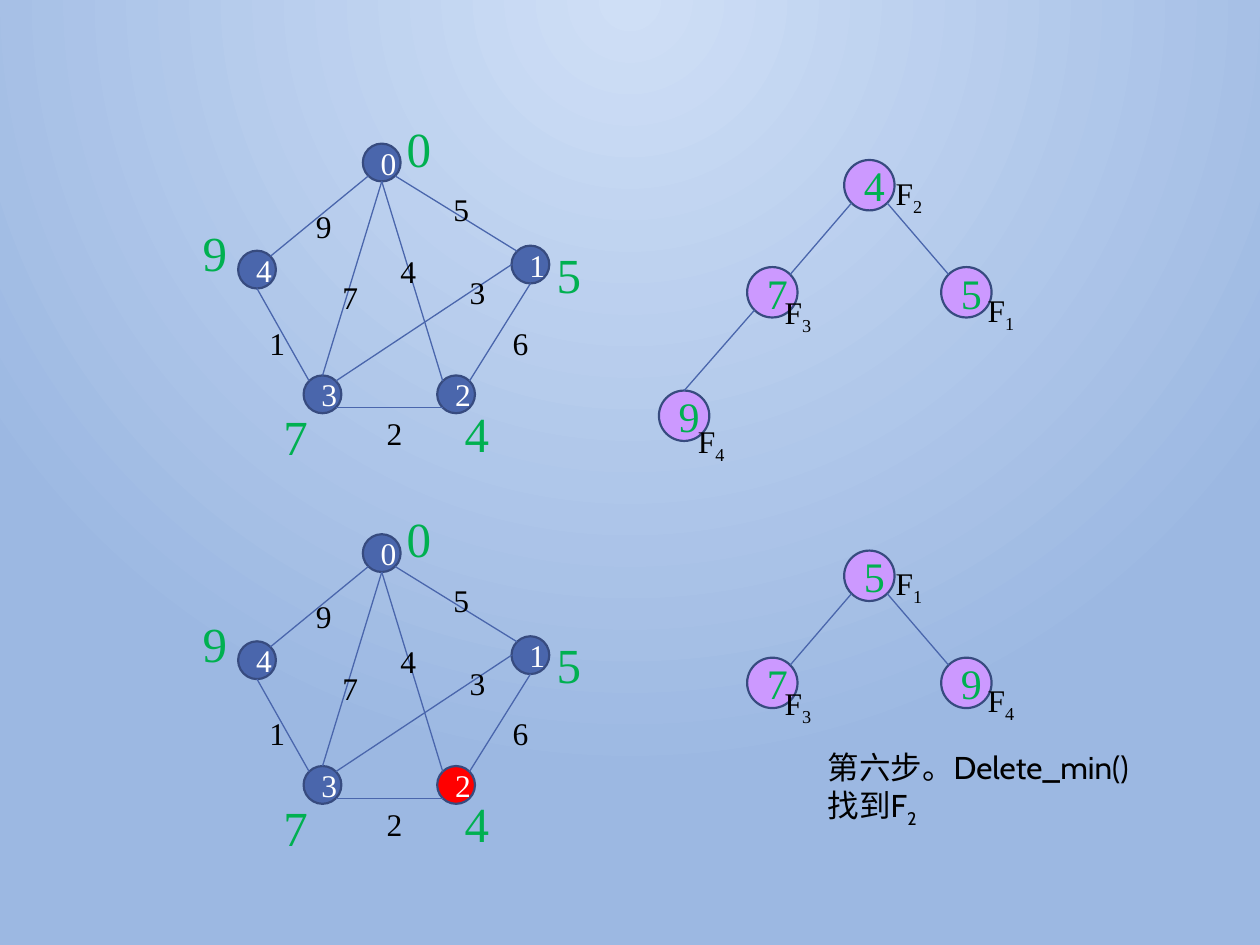
"""Draw two steps of a minimum spanning tree search, each with its graph and heap."""
import math
from dataclasses import dataclass

import pptx
import pptx.dml.color
import pptx.enum.shapes
import pptx.enum.text
import pptx.oxml
import pptx.oxml.ns
import pptx.shapes.autoshape
import pptx.slide
import pptx.util
from pptx.util import Inches

COLORS = {
    "glow": "CFDFF6", "sky": "9CB8E2", "blue": "4A66AC", "outline": "374B7F", "red": "FF0000",
    "violet": "CC99FF", "green": "00B050", "white": "FFFFFF", "black": "000000",
}
SERIF = "Times New Roman"
COMPASS = {name: math.radians(45 * step)
           for step, name in enumerate(["E", "SE", "S", "SW", "W", "NW", "N", "NE"])}
STEP_GAP = 3.1


@dataclass(frozen=True)
class Span:
    text: str
    subscript: bool = False


@dataclass(frozen=True)
class Style:
    size: int
    color: str
    font: str = SERIF


@dataclass(frozen=True)
class Node:
    text: str
    left: float
    top: float
    diameter: float
    fill: str
    style: Style

    def site(self, direction: str) -> tuple[float, float]:
        radius = self.diameter / 2
        angle = COMPASS[direction]
        return (self.left + radius * (1 + math.cos(angle)),
                self.top + radius * (1 + math.sin(angle)))


@dataclass(frozen=True)
class Edge:
    start: int
    start_side: str
    end: int
    end_side: str


@dataclass(frozen=True)
class Label:
    text: str
    left: float
    top: float


@dataclass(frozen=True)
class HeapSlot:
    left: float
    top: float
    label_left: float
    label_top: float
    label_width: float = 0.43


NODE_TEXT = Style(18, "white")
PLAIN_TEXT = Style(18, "black")
KEY_TEXT = Style(28, "green")
HEAP_TEXT = Style(24, "green")
NOTE_TEXT = Style(18, "black", "Cabin")

VERTICES = [(2.88, 1.14), (4.06, 1.95), (3.47, 2.98), (2.41, 2.98), (1.89, 1.99)]
GRAPH_EDGES = [
    Edge(0, "SW", 4, "NE"), Edge(3, "NW", 4, "S"), Edge(1, "NW", 0, "SE"), Edge(2, "SW", 3, "SE"),
    Edge(1, "S", 2, "NE"), Edge(2, "NW", 0, "S"), Edge(3, "N", 0, "S"), Edge(1, "W", 3, "NE"),
]
WEIGHTS = [
    Label("9", 2.41, 1.59), Label("5", 3.5, 1.46), Label("4", 3.08, 1.95), Label("7", 2.62, 2.16),
    Label("1", 2.04, 2.52), Label("2", 2.97, 3.24), Label("3", 3.63, 2.12), Label("6", 3.97, 2.52),
]
KEYS = [
    Label("9", 1.51, 1.72), Label("0", 3.13, 0.89), Label("7", 2.15, 3.18),
    Label("5", 4.32, 1.89), Label("4", 3.59, 3.15),
]
HEAP_SLOTS = [
    HeapSlot(6.7, 1.27, 7.01, 1.33, 0.55), HeapSlot(5.93, 2.12, 6.13, 2.28),
    HeapSlot(7.47, 2.12, 7.74, 2.26), HeapSlot(5.23, 3.1, 5.44, 3.3),
]
HEAP_EDGES = [Edge(1, "NE", 0, "SW"), Edge(2, "NW", 0, "SE"), Edge(3, "N", 1, "SW")]


def rgb(name: str) -> pptx.dml.color.RGBColor:
    return pptx.dml.color.RGBColor.from_string(COLORS[name])


def paint_background(page: pptx.slide.Slide) -> None:
    background = pptx.oxml.parse_xml(
        f'<p:bg {pptx.oxml.ns.nsdecls("p", "a")}><p:bgPr><a:gradFill rotWithShape="1"><a:gsLst>'
        f'<a:gs pos="0"><a:srgbClr val="{COLORS["glow"]}"/></a:gs>'
        f'<a:gs pos="100000"><a:srgbClr val="{COLORS["sky"]}"/></a:gs></a:gsLst>'
        '<a:path path="circle"><a:fillToRect l="43000" t="0" r="43000" b="100000"/></a:path>'
        '</a:gradFill><a:effectLst/></p:bgPr></p:bg>')
    page.element.cSld.insert(0, background)


def write(shape: pptx.shapes.autoshape.Shape, lines: list[list[Span]], style: Style) -> None:
    frame = shape.text_frame
    for index, line in enumerate(lines):
        para = frame.paragraphs[0] if index == 0 else frame.add_paragraph()
        for part in line:
            span = para.add_run()
            span.text = part.text
            span.font.size = pptx.util.Pt(style.size)
            span.font.name = style.font
            span.font.color.rgb = rgb(style.color)
            if part.subscript:
                span._r.get_or_add_rPr().set("baseline", "-25000")


def add_text(shapes, left: float, top: float, width: float, height: float,
             lines: list[list[Span]], style: Style, wrap: bool) -> None:
    box = shapes.add_textbox(Inches(left), Inches(top), Inches(width), Inches(height))
    box.text_frame.word_wrap = wrap
    box.text_frame.auto_size = pptx.enum.text.MSO_AUTO_SIZE.SHAPE_TO_FIT_TEXT
    write(box, lines, style)


def add_node(shapes, node: Node) -> None:
    circle = shapes.add_shape(
        pptx.enum.shapes.MSO_SHAPE.OVAL, Inches(node.left), Inches(node.top),
        Inches(node.diameter), Inches(node.diameter))
    circle.shadow.inherit = False
    circle.fill.solid()
    circle.fill.fore_color.rgb = rgb(node.fill)
    circle.line.color.rgb = rgb("outline")
    circle.line.width = pptx.util.Pt(1.25)
    circle.text_frame.vertical_anchor = pptx.enum.text.MSO_ANCHOR.MIDDLE
    circle.text_frame.paragraphs[0].alignment = pptx.enum.text.PP_ALIGN.CENTER
    write(circle, [[Span(node.text)]], node.style)


def add_edge(shapes, nodes: list[Node], edge: Edge) -> None:
    ends = nodes[edge.start].site(edge.start_side) + nodes[edge.end].site(edge.end_side)
    line = shapes.add_connector(
        pptx.enum.shapes.MSO_CONNECTOR.STRAIGHT, *(Inches(value) for value in ends))
    line.line.color.rgb = rgb("blue")
    line.line.width = pptx.util.Pt(0.75)
    line._element.spPr.append(
        pptx.oxml.parse_xml(f'<a:effectLst {pptx.oxml.ns.nsdecls("a")}/>'))


def add_graph(page: pptx.slide.Slide, drop: float, chosen: int | None) -> None:
    shapes = page.shapes.add_group_shape().shapes
    nodes = [Node(str(index), left, top + drop, 0.3, "red" if index == chosen else "blue", NODE_TEXT)
             for index, (left, top) in enumerate(VERTICES)]
    for node in nodes:
        add_node(shapes, node)
    for edge in GRAPH_EDGES:
        add_edge(shapes, nodes, edge)
    for weight in WEIGHTS:
        add_text(shapes, weight.left, weight.top + drop, 0.33, 0.4,
                 [[Span(weight.text)]], PLAIN_TEXT, False)
    for key in KEYS:
        add_text(shapes, key.left, key.top + drop, 0.4, 0.57, [[Span(key.text)]], KEY_TEXT, True)


def add_heap(page: pptx.slide.Slide, drop: float, entries: list[tuple[str, str]]) -> None:
    nodes = [Node(key, slot.left, slot.top + drop, 0.4, "violet", HEAP_TEXT)
             for slot, (key, _) in zip(HEAP_SLOTS, entries)]
    for node in nodes:
        add_node(page.shapes, node)
    for slot, (_, vertex) in zip(HEAP_SLOTS, entries):
        add_text(page.shapes, slot.label_left, slot.label_top + drop, slot.label_width, 0.4,
                 [[Span("F"), Span(vertex, True)]], PLAIN_TEXT, slot.label_width > 0.5)
    for edge in HEAP_EDGES[:len(nodes) - 1]:
        add_edge(page.shapes, nodes, edge)


def main() -> None:
    deck = pptx.Presentation()
    deck.slide_width, deck.slide_height = Inches(10), Inches(7.5)
    page = deck.slides.add_slide(deck.slide_layouts[6])
    paint_background(page)
    add_text(page.shapes, 6.47, 5.89, 2.89, 0.71,
             [[Span("第六步。Delete_min()")], [Span("找到F"), Span("2", True)]], NOTE_TEXT, True)
    add_graph(page, 0, None)
    add_heap(page, 0, [("4", "2"), ("7", "3"), ("5", "1"), ("9", "4")])
    add_graph(page, STEP_GAP, 2)
    add_heap(page, STEP_GAP, [("5", "1"), ("7", "3"), ("9", "4")])
    deck.save("out.pptx")


if __name__ == "__main__":
    main()
